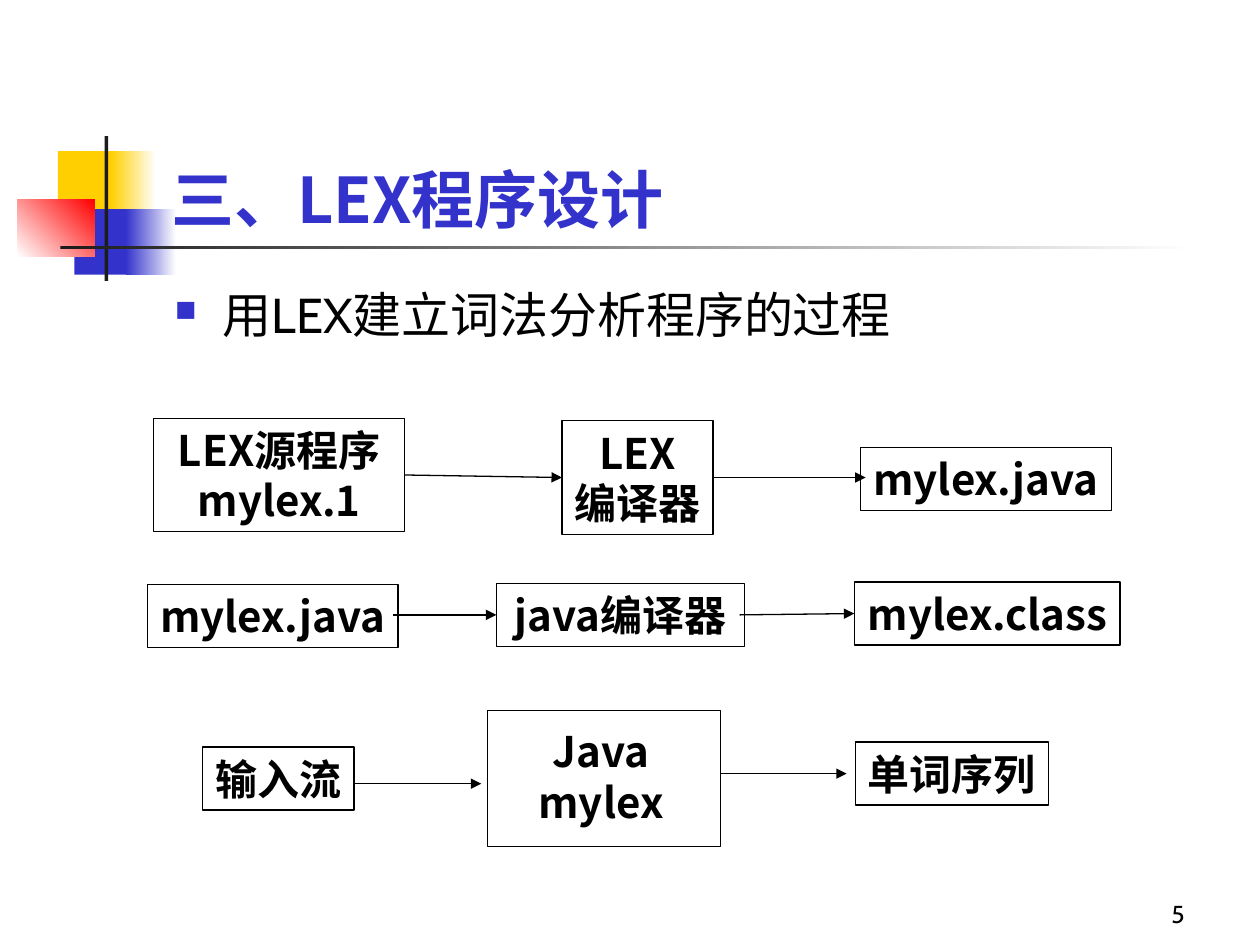
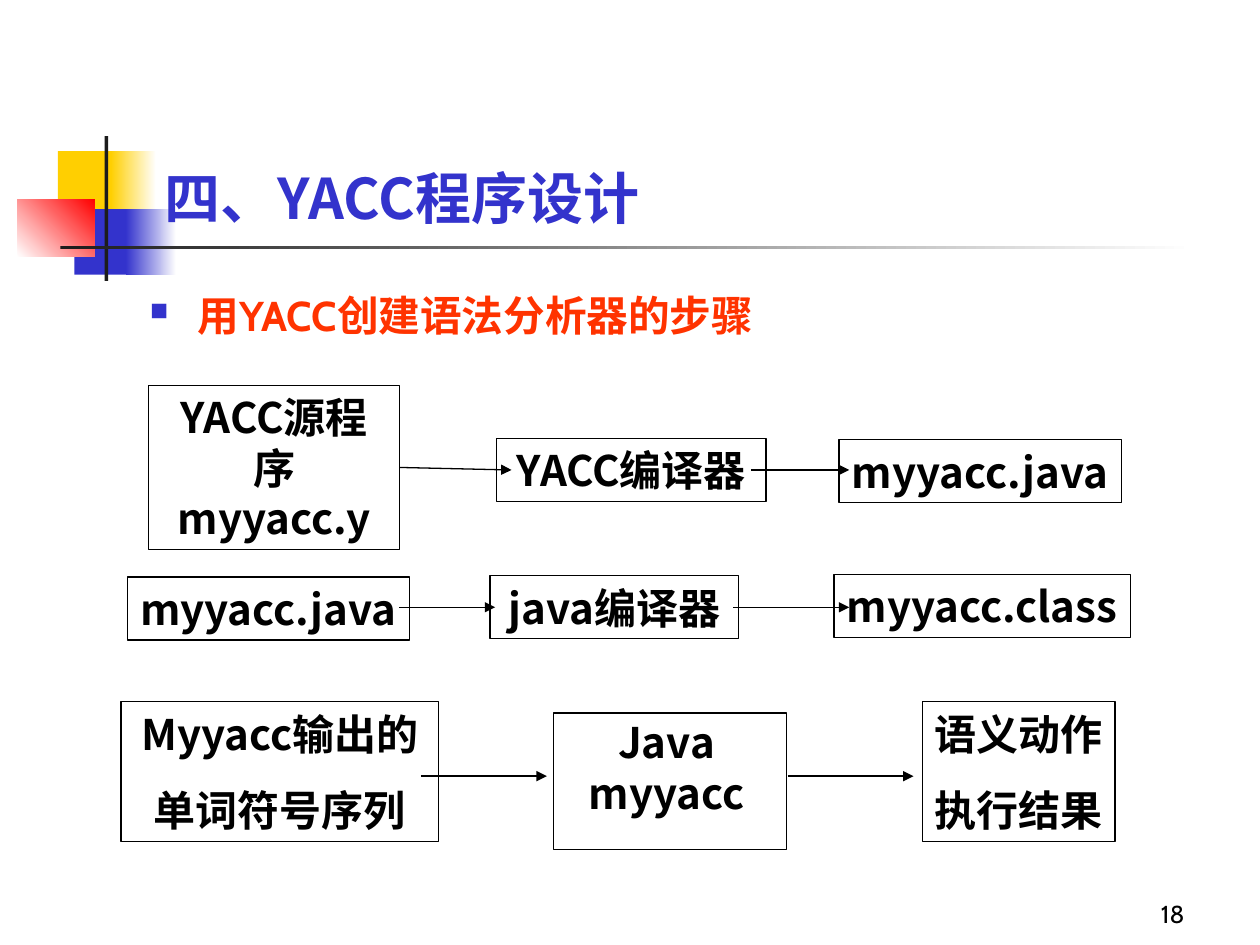
from dataclasses import dataclass

from lxml.etree import SubElement
from pptx import Presentation
from pptx.dml.color import RGBColor
from pptx.enum.shapes import MSO_CONNECTOR, MSO_SHAPE
from pptx.enum.text import MSO_ANCHOR, MSO_AUTO_SIZE, PP_ALIGN
from pptx.oxml.ns import qn
from pptx.util import Inches, Pt


@dataclass(frozen=True)
class Theme:
    blue: str = "3333CC"
    yellow: str = "FFCF01"
    red: str = "FF0000"
    orange: str = "FF3300"
    dark: str = "1C1C1C"
    black: str = "000000"
    white: str = "FFFFFF"
    heading_font: str = "Noto Sans CJK SC"
    body_font: str = "Cabin"
    box_size: float = 24
    number_size: float = 14
    line_width: float = 0.75
    bullet_percent: int = 60


THEME = Theme()
RIGHT_SIDE, LEFT_SIDE = 3, 1
JOIN_TOLERANCE = Inches(0.03)


def colour(value):
    return RGBColor.from_string(value)


def add_span(para, text, size, font, tint, bold=False):
    span = para.add_run()
    span.text = text
    span.font.size = Pt(size)
    span.font.name = font
    span.font.bold = bold
    span.font.color.rgb = colour(tint)
    east_asian = SubElement(span.font._element, qn("a:ea"))
    east_asian.set("typeface", THEME.heading_font)


def add_text_box(page, box, anchor=MSO_ANCHOR.TOP, wrap=True):
    shape = page.shapes.add_textbox(*map(Inches, box))
    shape.text_frame.word_wrap = wrap
    shape.text_frame.vertical_anchor = anchor
    return shape.text_frame


def add_rectangle(page, box, fill=None, fade_to=None, angle=0, outlined=False):
    shape = page.shapes.add_shape(MSO_SHAPE.RECTANGLE, *map(Inches, box))
    shape.shadow.inherit = False
    if fade_to:
        shape.fill.gradient()
        shape.fill.gradient_angle = angle
        for stop, tint in zip(shape.fill.gradient_stops, (fill, fade_to)):
            stop.color.rgb = colour(tint)
    elif fill:
        shape.fill.solid()
        shape.fill.fore_color.rgb = colour(fill)
    else:
        shape.fill.background()
    if outlined:
        shape.line.color.rgb = colour(THEME.black)
        shape.line.width = Pt(THEME.line_width)
    else:
        shape.line.fill.background()
    return shape


def add_emblem(page, left, top):
    tiles = [
        ((0.32, 0.12, 0.48, 0.52), THEME.yellow, None, 0),
        ((0.74, 0.12, 0.36, 0.52), THEME.yellow, THEME.white, 0),
        ((0.45, 0.58, 0.46, 0.52), THEME.blue, None, 0),
        ((0.86, 0.58, 0.4, 0.52), THEME.blue, THEME.white, 0),
        ((0, 0.5, 0.61, 0.46), THEME.white, THEME.red, 45),
        ((0.69, 0, 0.03, 1.15), THEME.dark, None, 0),
        ((0.34, 0.87, 9, 0.03), THEME.dark, THEME.white, 0),
    ]
    for (x, y, width, height), fill, fade_to, angle in tiles:
        add_rectangle(page, (left + x, top + y, width, height), fill, fade_to, angle)


def add_title(page, box, text, size):
    frame = add_text_box(page, box, MSO_ANCHOR.BOTTOM)
    add_span(frame.paragraphs[0], text, size, THEME.heading_font, THEME.blue, True)


def add_bullet(page, box, text, size, tint, bold=False):
    para = add_text_box(page, box).paragraphs[0]
    properties = para._p.get_or_add_pPr()
    properties.set("marL", str(Inches(0.38)))
    properties.set("indent", str(-Inches(0.38)))
    bullet_colour = SubElement(properties, qn("a:buClr"))
    SubElement(bullet_colour, qn("a:srgbClr")).set("val", THEME.blue)
    SubElement(properties, qn("a:buSzPct")).set("val", str(THEME.bullet_percent * 1000))
    SubElement(properties, qn("a:buChar")).set("char", "■")
    add_span(para, text, size, THEME.body_font, tint, bold)


def add_page_number(page, box, number):
    para = add_text_box(page, box, MSO_ANCHOR.BOTTOM).paragraphs[0]
    para.alignment = PP_ALIGN.RIGHT
    add_span(para, number, THEME.number_size, THEME.body_font, THEME.black)


def add_box_span(para, text):
    para.alignment = PP_ALIGN.CENTER
    add_span(para, text, THEME.box_size, THEME.heading_font, THEME.black, True)


def add_step(page, box, lines, fill=None, wrap=False, gap=0):
    shape = add_rectangle(page, box, fill, outlined=True)
    frame = shape.text_frame
    frame.word_wrap = wrap
    frame.auto_size = MSO_AUTO_SIZE.SHAPE_TO_FIT_TEXT
    frame.vertical_anchor = MSO_ANCHOR.MIDDLE
    for index, text in enumerate(lines):
        para = frame.add_paragraph() if index else frame.paragraphs[0]
        if index:
            para.space_before = Pt(gap)
        add_box_span(para, text)
    return shape


def add_program(page, box, label_box, name):
    shape = add_rectangle(page, box, THEME.white, outlined=True)
    para = add_text_box(page, label_box, MSO_ANCHOR.MIDDLE, wrap=False).paragraphs[0]
    add_box_span(para, "Java")
    para.add_line_break()
    add_box_span(para, name)
    return shape


def meets(x, y, side_x, shape):
    middle = shape.top + shape.height / 2
    return abs(x - side_x) <= JOIN_TOLERANCE and abs(y - middle) <= JOIN_TOLERANCE


def add_arrow(page, source, target, start, end, level):
    x1, x2, y = Inches(start), Inches(end), Inches(level)
    arrow = page.shapes.add_connector(MSO_CONNECTOR.STRAIGHT, x1, y, x2, y)
    if meets(x1, y, source.left + source.width, source):
        arrow.begin_connect(source, RIGHT_SIDE)
    if meets(x2, y, target.left, target):
        arrow.end_connect(target, LEFT_SIDE)
    arrow.line.color.rgb = colour(THEME.black)
    arrow.line.width = Pt(THEME.line_width)
    SubElement(arrow.line._get_or_add_ln(), qn("a:tailEnd")).set("type", "triangle")
    SubElement(arrow._element.spPr, qn("a:effectLst"))


def add_flow(page, steps, spans, level):
    for source, target, (start, end) in zip(steps, steps[1:], spans):
        add_arrow(page, source, target, start, end, level[source is steps[1]])


def add_frame(deck, number):
    page = deck.slides.add_slide(deck.slide_layouts[6])
    add_emblem(page, 0.14, 1.08)
    add_page_number(page, (7.42, 6.92, 2.08, 0.5), number)
    return page


def build_lex(deck):
    page = add_frame(deck, "5")
    add_title(page, (1.26, 0.67, 8.52, 1.25), "三、LEX程序设计", 36)
    add_bullet(page, (1.29, 2.21, 8.5, 0.59), "用LEX建立词法分析程序的过程", 28, THEME.black)
    generate = [
        add_step(page, (1.22, 3.32, 1.99, 0.9), ["LEX源程序", "mylex.1"], wrap=True),
        add_step(page, (4.46, 3.34, 1.2, 0.9), ["LEX", "编译器"], THEME.white),
        add_step(page, (6.83, 3.55, 1.99, 0.5), ["mylex.java"]),
    ]
    add_flow(page, generate, [(3.22, 4.45), (5.67, 6.87)], (3.79, 3.79))
    translate = [
        add_step(page, (1.17, 4.64, 1.99, 0.5), ["mylex.java"]),
        add_step(page, (3.94, 4.63, 1.97, 0.5), ["java编译器"], THEME.white),
        add_step(page, (6.78, 4.62, 2.11, 0.5), ["mylex.class"]),
    ]
    add_flow(page, translate, [(3.12, 3.97), (5.87, 6.78)], (4.88, 4.88))
    execute = [
        add_step(page, (1.61, 5.93, 1.2, 0.5), ["输入流"]),
        add_program(page, (3.87, 5.64, 1.85, 1.08), (3.77, 5.71, 2, 0.9), "mylex"),
        add_step(page, (6.79, 5.89, 1.53, 0.5), ["单词序列"]),
    ]
    add_flow(page, execute, [(2.82, 3.82), (5.72, 6.72)], (6.22, 6.14))


def build_yacc(deck):
    page = add_frame(deck, "18")
    add_title(page, (1.21, 1.03, 8.52, 0.85), "四、YACC程序设计", 32)
    add_bullet(page, (1.09, 2.25, 8.78, 0.5), "用YACC创建语法分析器的步骤", 23.8, THEME.orange, True)
    generate = [
        add_step(page, (1.18, 3.06, 1.99, 1.3), ["YACC源程序", "myyacc.y"], wrap=True),
        add_step(page, (3.94, 3.48, 2.14, 0.5), ["YACC编译器"], THEME.white),
        add_step(page, (6.66, 3.49, 2.24, 0.5), ["myyacc.java"]),
    ]
    add_flow(page, generate, [(3.17, 4.06), (5.96, 6.74)], (3.73, 3.73))
    translate = [
        add_step(page, (1.01, 4.58, 2.24, 0.5), ["myyacc.java"]),
        add_step(page, (3.89, 4.57, 1.97, 0.5), ["java编译器"], THEME.white),
        add_step(page, (6.62, 4.56, 2.35, 0.5), ["myyacc.class"]),
    ]
    add_flow(page, translate, [(3.17, 3.93), (5.82, 6.74)], (4.82, 4.82))
    execute = [
        add_step(page, (0.96, 5.57, 2.52, 1.11), ["Myyacc输出的", "单词符号序列"], gap=15),
        add_program(page, (4.39, 5.66, 1.85, 1.08), (4.17, 5.64, 2.24, 0.9), "myyacc"),
        add_step(page, (7.32, 5.57, 1.53, 1.11), ["语义动作", "执行结果"], gap=15),
    ]
    add_flow(page, execute, [(3.34, 4.34), (6.25, 7.25)], (6.16, 6.16))


def main():
    deck = Presentation()
    deck.slide_width, deck.slide_height = Inches(10), Inches(7.5)
    build_lex(deck)
    build_yacc(deck)
    deck.save("out.pptx")


if __name__ == "__main__":
    main()
